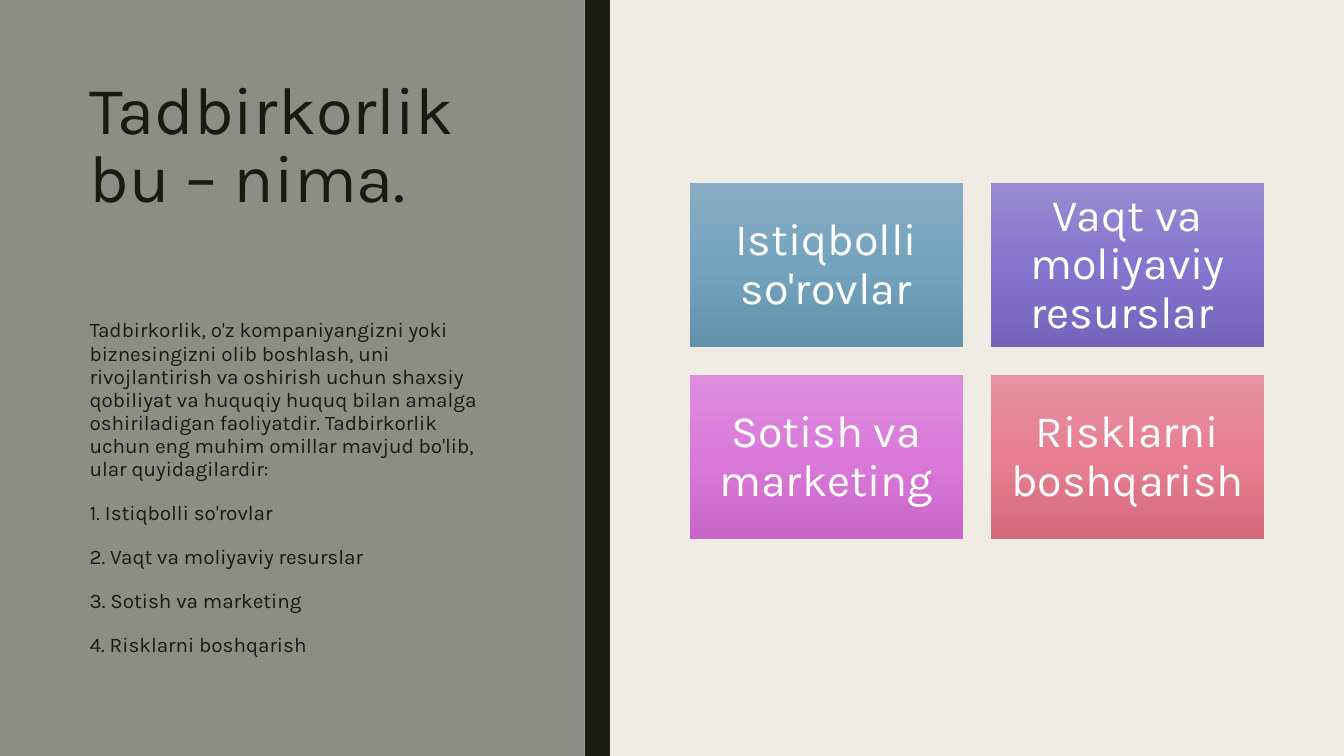
from lxml import etree
from pptx import Presentation
from pptx.dml.color import RGBColor
from pptx.enum.shapes import MSO_SHAPE
from pptx.enum.text import MSO_ANCHOR, PP_ALIGN
from pptx.oxml.ns import qn
from pptx.util import Inches, Pt

RECT = MSO_SHAPE.RECTANGLE
TOP, MIDDLE = MSO_ANCHOR.TOP, MSO_ANCHOR.MIDDLE
LEFT, CENTER = PP_ALIGN.LEFT, PP_ALIGN.CENTER
FONT = "Karla"
COLORS = {
    "background": "EFEDE3",
    "panel": "8C8D86",
    "dark": "191B0E",
    "white": "FFFFFF",
}
GRADIENTS = {
    "blue": ("88ADC3", "74A3BE", "6392AD"),
    "violet": ("978BD0", "8675CE", "7464BB"),
    "pink": ("DC8EDC", "DB79DB", "C866C8"),
    "red": ("E793A2", "E77E91", "D36B7D"),
}
TITLE = "Tadbirkorlik bu – nima."
BODY = [
    "Tadbirkorlik, o'z kompaniyangizni yoki biznesingizni olib boshlash, "
    "uni rivojlantirish va oshirish uchun shaxsiy qobiliyat va huquqiy huquq "
    "bilan amalga oshiriladigan faoliyatdir. Tadbirkorlik uchun eng muhim "
    "omillar mavjud bo'lib, ular quyidagilardir:",
    "1. Istiqbolli so'rovlar",
    "2. Vaqt va moliyaviy resurslar",
    "3. Sotish va marketing",
    "4. Risklarni boshqarish",
]
FACTORS = [
    ("Istiqbolli so'rovlar", "blue"),
    ("Vaqt va moliyaviy resurslar ", "violet"),
    ("Sotish va marketing", "pink"),
    ("Risklarni boshqarish", "red"),
]


def add_rect(slide, x, y, w, h, color=None):
    sp = slide.shapes.add_shape(RECT, Inches(x), Inches(y), Inches(w), Inches(h))
    sp.shadow.inherit = False
    sp.line.fill.background()
    if color:
        sp.fill.solid()
        sp.fill.fore_color.rgb = RGBColor.from_string(COLORS[color])
    return sp


def fill_gradient(sp, stops):
    """Fill from top to bottom with evenly spaced colours."""
    sp.fill.gradient()
    sp.fill.gradient_angle = 270
    gs_list = sp._element.spPr.find(qn("a:gradFill")).find(qn("a:gsLst"))
    for gs in list(gs_list):
        gs_list.remove(gs)
    for i, color in enumerate(stops):
        pos = str(100000 * i // (len(stops) - 1))
        gs = etree.SubElement(gs_list, qn("a:gs"), pos=pos)
        etree.SubElement(gs, qn("a:srgbClr"), val=color)


def write_text(tf, lines, size, color, spacing, after=0, align=LEFT,
               anchor=TOP, margins=(0.1, 0.05)):
    tf.word_wrap = True
    tf.vertical_anchor = anchor
    tf.margin_left = tf.margin_right = Inches(margins[0])
    tf.margin_top = tf.margin_bottom = Inches(margins[1])
    tf.text = "\n".join(lines)
    for p in tf.paragraphs:
        p.alignment = align
        p.line_spacing = spacing
        p.space_after = Pt(after)
        for r in p.runs:
            r.font.name = FONT
            r.font.size = Pt(size)
            r.font.color.rgb = RGBColor.from_string(COLORS[color])


def add_text(slide, x, y, w, h, lines, **style):
    box = slide.shapes.add_textbox(Inches(x), Inches(y), Inches(w), Inches(h))
    write_text(box.text_frame, lines, color="dark", **style)


def add_side_panel(slide, x, y, w, h):
    # Panel and its dark edge
    add_rect(slide, x, y, w, h, "panel")
    add_rect(slide, x + w, y, 0.25, h, "dark")
    # Title above the body text
    text_x, text_w = x + 0.79, 4.22
    add_text(slide, text_x, y + 0.75, text_w, 2.36, [TITLE], size=48, spacing=0.84)
    add_text(slide, text_x, y + 3.12, text_w, 3.29, BODY,
             size=14.8, spacing=0.93, after=15)


def add_factor_grid(slide, x, y, w, h, gap=0.28, columns=2):
    rows = len(FACTORS) // columns
    card_w = (w - gap * (columns - 1)) / columns
    card_h = (h - gap * (rows - 1)) / rows
    for i, (label, gradient) in enumerate(FACTORS):
        row, col = divmod(i, columns)
        sp = add_rect(slide, x + col * (card_w + gap), y + row * (card_h + gap),
                      card_w, card_h)
        fill_gradient(sp, GRADIENTS[gradient])
        write_text(sp.text_frame, [label], 32, "white", 0.9, align=CENTER,
                   anchor=MIDDLE, margins=(0.13, 0.13))


def main():
    prs = Presentation()
    prs.slide_width, prs.slide_height = Inches(13.33), Inches(7.5)
    slide = prs.slides.add_slide(prs.slide_layouts[6])
    slide.background.fill.solid()
    slide.background.fill.fore_color.rgb = RGBColor.from_string(COLORS["background"])
    add_side_panel(slide, 0, 0, 5.8, 7.5)
    add_factor_grid(slide, 6.84, 1.82, 5.7, 3.53)
    prs.save("out.pptx")


if __name__ == "__main__":
    main()
